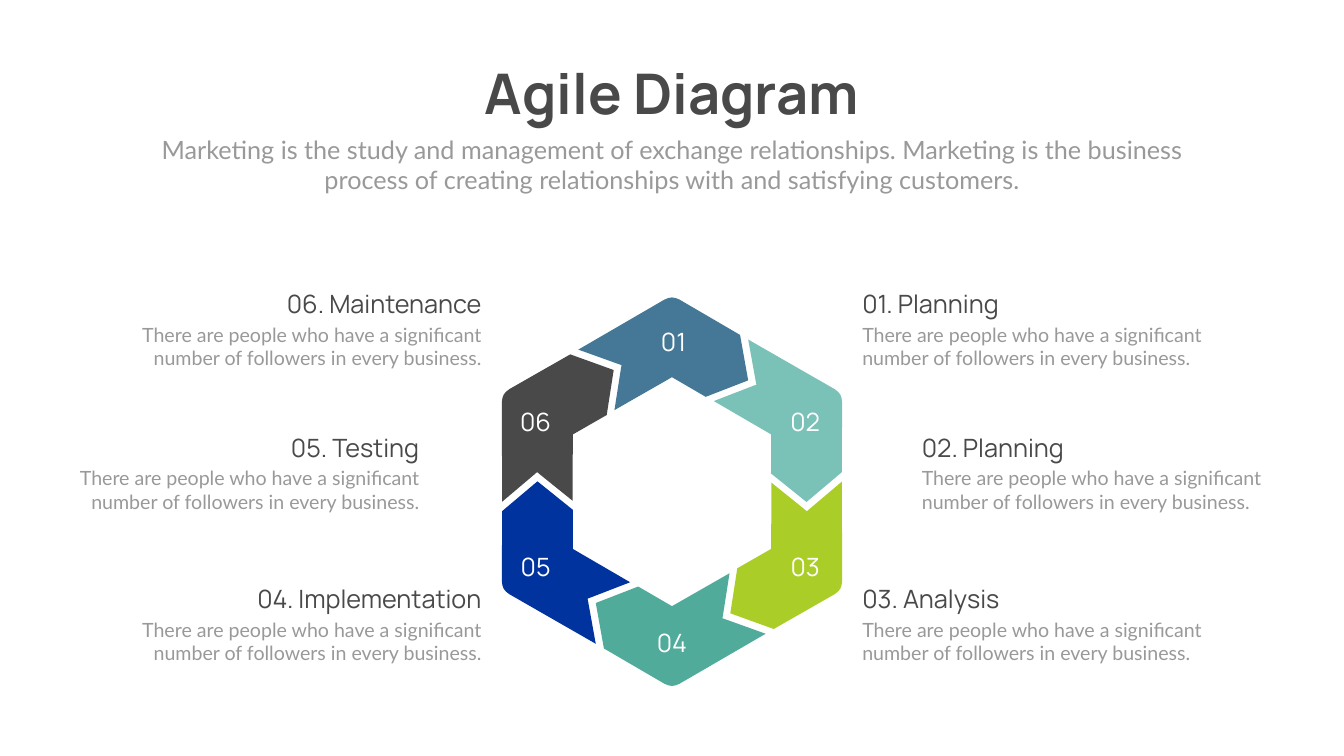
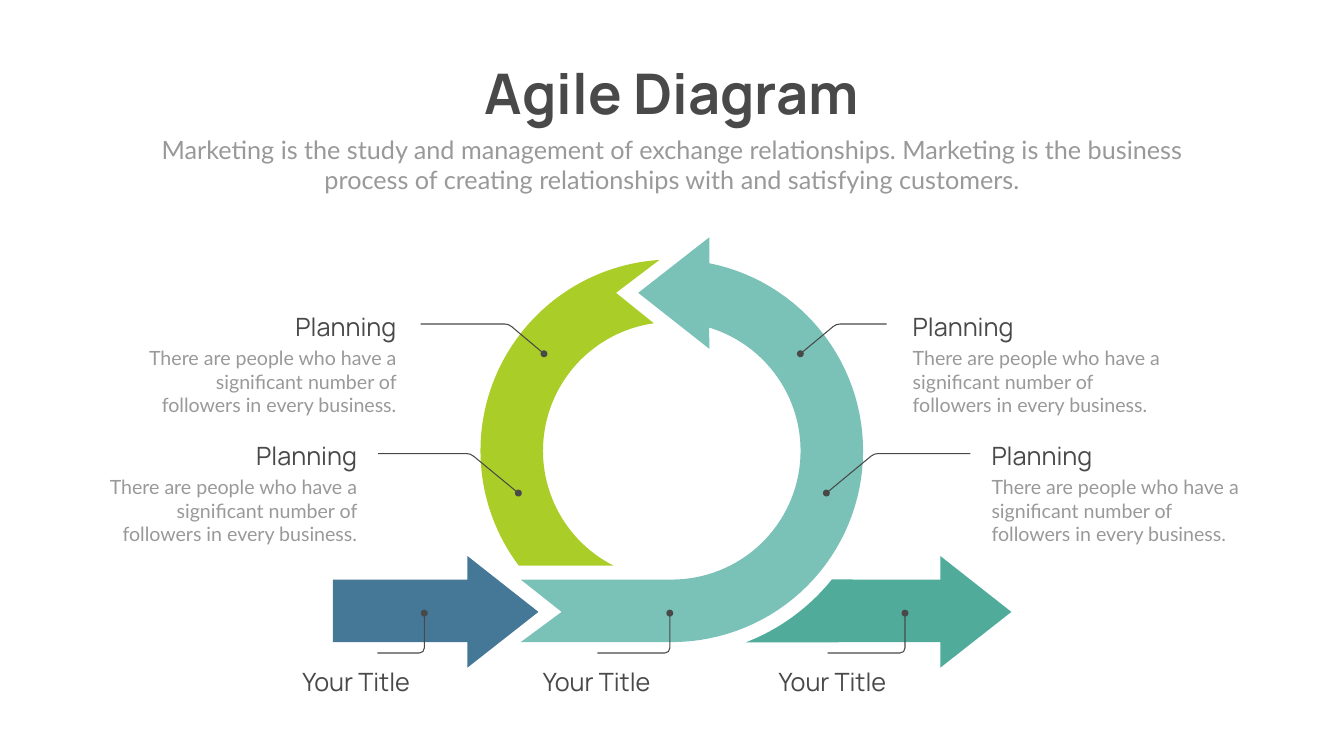
"""Builds two Agile Diagram slides: a six-stage hexagon and a loop of arrows."""
from math import cos, radians, sin

from lxml.etree import SubElement
from pptx import Presentation
from pptx.dml.color import RGBColor
from pptx.enum.text import MSO_ANCHOR, MSO_AUTO_SIZE, PP_ALIGN
from pptx.oxml.ns import qn
from pptx.util import Cm, Pt

COLORS = {
    "dark": "494949", "gray": "999999", "white": "FFFFFF", "steel": "457896",
    "aqua": "7AC1B7", "lime": "ABCD27", "teal": "50AB9B", "navy": "00339E",
}
HEADING = {"font": "Manrope", "size": 36, "color": "dark"}
INTRO = ("Marketing is the study and management of exchange relationships. "
         "Marketing is the business process of creating relationships with "
         "and satisfying customers.")
DETAIL = ("There are people who have a significant number of followers "
          "in every business.")


def write(slide, text, left, top, width, height, font="Lato", size=28, color="gray",
          bold=False, align=PP_ALIGN.LEFT, anchor=MSO_ANCHOR.TOP, wrap=True):
    box = slide.shapes.add_textbox(Cm(left), Cm(top), Cm(width), Cm(height))
    frame = box.text_frame
    frame.word_wrap = wrap
    frame.auto_size = MSO_AUTO_SIZE.SHAPE_TO_FIT_TEXT
    frame.vertical_anchor = anchor
    paragraph = frame.paragraphs[0]
    paragraph.alignment = align
    run = paragraph.add_run()
    run.text = text
    run.font.name = font
    run.font.size = Pt(size)
    run.font.bold = bold
    run.font.color.rgb = RGBColor.from_string(COLORS[color])


def draw(slide, centre, outline, color, leader=False):
    """Outline items are (x, y) offsets or (radius, start, end) arcs about the centre."""
    points = []
    for item in outline:
        if len(item) == 2:
            points.append(item)
        else:
            radius, start, end = item
            angles = [radians(start + (end - start) * i / 60) for i in range(61)]
            points += [(radius * cos(a), radius * sin(a)) for a in angles]
    corners = [(Cm(centre[0] + x), Cm(centre[1] + y)) for x, y in points]
    builder = slide.shapes.build_freeform(*corners[0], scale=1.0)
    builder.add_line_segments(corners[1:], close=not leader)
    shape = builder.convert_to_shape()
    shape.shadow.inherit = False
    rgb = RGBColor.from_string(COLORS[color])
    if leader:
        shape.fill.background()
        shape.line.color.rgb = rgb
        shape.line.width = Pt(1.5)
        SubElement(shape._element.spPr.find(qn("a:ln")), qn("a:tailEnd"),
                   type="oval", w="lg", len="lg")
    else:
        shape.fill.solid()
        shape.fill.fore_color.rgb = rgb
        shape.line.fill.background()


deck = Presentation()
deck.slide_width, deck.slide_height = Cm(67.72), Cm(38.1)
hexagon, loop = [deck.slides.add_slide(deck.slide_layouts[6]) for _ in range(2)]

for slide in (hexagon, loop):
    write(slide, "Agile Diagram", 23.09, 2.84, 21.56, 3.68, font="Manrope", size=80,
          color="dark", bold=True, align=PP_ALIGN.CENTER, wrap=False)
    write(slide, INTRO, 7.42, 6.63, 52.88, 3.33, size=36, align=PP_ALIGN.CENTER)

hexagon_centre = (33.86, 24.78)
stage = [
    (0.38, -9.68), (3.43, -7.9), (3.84, -5.61), (1.7, -4.78), (0, -5.77),
    (-2.9, -4.11), (-2.57, -6.22), (-2.54, -6.38), (-2.69, -6.43), (-4.72, -7.16),
    (-4.27, -7.42), (-0.38, -9.68), (-0.18, -9.76), (0, -9.79), (0.18, -9.76),
]
stage_colors = ["steel", "aqua", "lime", "teal", "navy", "dark"]
for i, color in enumerate(stage_colors):
    c, s = cos(radians(60 * i)), sin(radians(60 * i))
    draw(hexagon, hexagon_centre, [(x * c - y * s, x * s + y * c) for x, y in stage], color)

number_offsets = [(0.08, -7.55), (6.71, -3.56), (6.71, 3.78),
                  (0, 7.6), (-6.87, 3.78), (-6.87, -3.56)]
for number, (x, y) in enumerate(number_offsets, 1):
    write(hexagon, f"{number:02}", hexagon_centre[0] + x - 1.05,
          hexagon_centre[1] + y - 0.9, 2.1, 1.8, font="Manrope", size=36, color="white",
          align=PP_ALIGN.CENTER, anchor=MSO_ANCHOR.MIDDLE, wrap=False)

loop_centre = (33.85, 22.72)
outer, inner = 9.64, 6.49
head_top, head_middle, head_bottom = 5.3, 8.12, 10.93
loop_parts = [
    ("lime", [(outer, 266.3, 143.1), (inner, 117, 262), (-2.81, -7.96)]),
    ("teal", [(10.35, 68.9, 38.8), (13.53, inner), (13.53, head_top),
              (17.11, head_middle), (13.53, head_bottom), (13.53, outer)]),
    ("aqua", [(1.89, -10.76), (-1.69, -7.96), (1.89, -5.14), (inner, -73.1, 90),
              (-7.61, inner), (-5.55, head_middle), (-7.61, outer), (outer, 90, -78.7)]),
    ("steel", [(-6.72, head_middle), (-10.3, head_top), (-10.3, inner), (-17.08, inner),
               (-17.08, outer), (-10.3, outer), (-10.3, head_bottom)]),
]
for color, outline in loop_parts:
    draw(loop, loop_centre, outline, color)

side_leaders = [
    (-1, 12.65, 8.42, 6.44, -6.39, -4.89), (-1, 14.8, 10.34, 7.73, 0.14, 2.13),
    (1, 15.05, 10.39, 7.79, 0.14, 2.13), (1, 10.83, 8.48, 6.48, -6.39, -4.89),
]
for side, start, bend, dot, y, dot_y in side_leaders:
    draw(loop, loop_centre,
         [(side * start, y), (side * bend, y), (side * (bend - 0.18), y + 0.03),
          (side * (bend - 0.35), y + 0.13), (side * dot, dot_y)], "dark", leader=True)

bottom_titles = [(-14.83, -12.47, 11.15), (-3.75, -0.1, 23.27), (7.85, 11.75, 35.15)]
for start, dot, left in bottom_titles:
    draw(loop, loop_centre,
         [(start, 10.19), (dot - 0.25, 10.19), (dot - 0.07, 10.12), (dot, 9.94),
          (dot, 8.18)], "dark", leader=True)
    write(loop, "Your Title", left, 33.48, 13.59, 1.8, align=PP_ALIGN.CENTER, **HEADING)

left, right = PP_ALIGN.LEFT, PP_ALIGN.RIGHT
notes = [
    (hexagon, "01. Planning", left, 43.2, 14.4),
    (hexagon, "02. Planning", left, 46.2, 21.64),
    (hexagon, "03. Analysis", left, 43.2, 29.26),
    (hexagon, "04. Implementation", right, 24.51, 29.26),
    (hexagon, "05. Testing", right, 21.37, 21.64),
    (hexagon, "06. Maintenance", right, 24.51, 14.4),
    (loop, "Planning", left, 45.74, 15.57),
    (loop, "Planning", left, 49.71, 22.07),
    (loop, "Planning", right, 20.22, 15.57),
    (loop, "Planning", right, 18.24, 22.07),
]
for slide, heading, align, edge, top in notes:
    width, height = (19.25, 2.64) if slide is hexagon else (13.59, 3.84)
    shift = 1 if align == right else 0
    write(slide, heading, edge - shift * 13.59, top, 13.59, 1.8, align=align, **HEADING)
    write(slide, DETAIL, edge - shift * width, top + 1.74, width, height, align=align)

deck.save("out.pptx")
